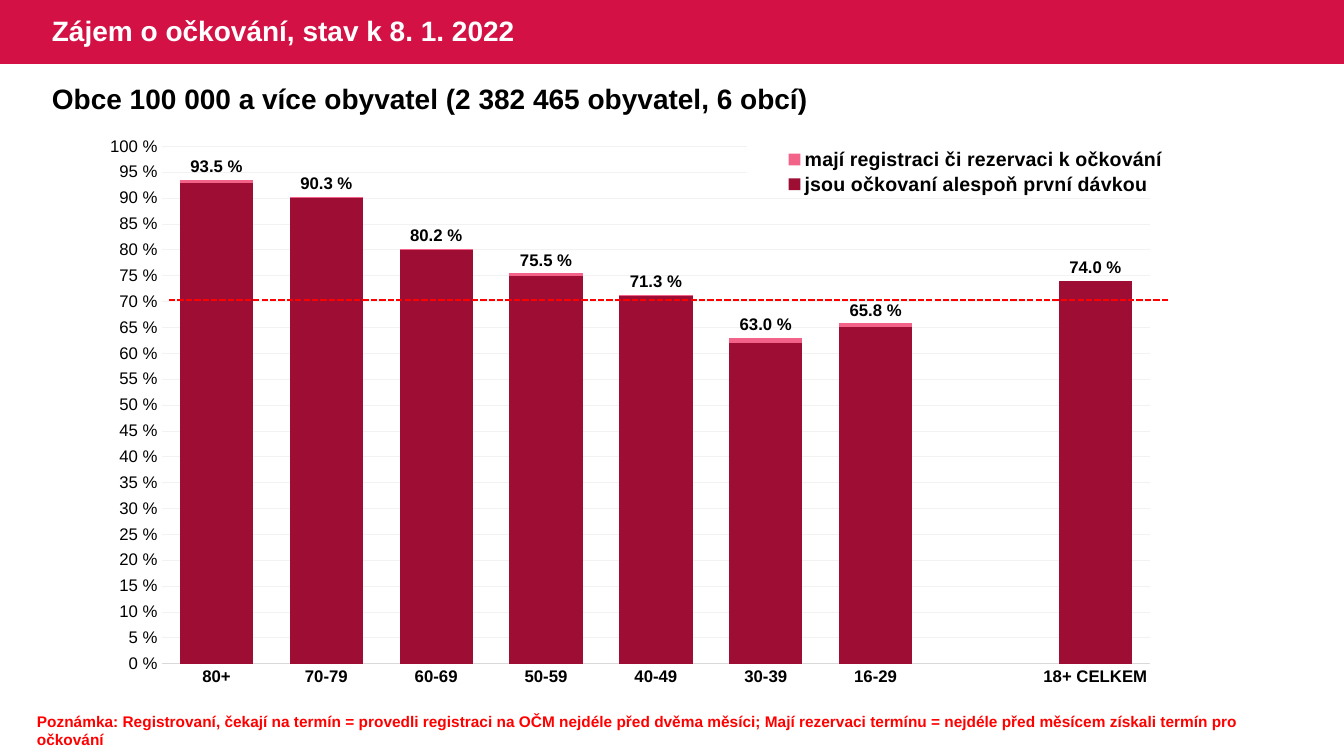
from lxml import etree
from pptx import Presentation
from pptx import util as u
from pptx.chart.data import CategoryChartData
from pptx.dml.color import RGBColor
from pptx.enum import chart as charts, dml, shapes, text
from pptx.oxml import parse_xml
from pptx.oxml.ns import nsdecls, qn

FONT = "Arial"
AGES = ["80+", "70-79", "60-69", "50-59", "40-49", "30-39", "16-29", "", "18+ CELKEM"]
SERIES = [
    ("mají registraci či rezervaci k očkování", "F26289",
     [93.5, 90.3, 80.2, 75.5, 71.3, 63, 65.8, None, 74]),
    ("jsou očkovaní alespoň první dávkou", "9E0D34",
     [93, 90, 80, 75, 71, 62, 65, None, 74]),
]


def px(length):
    """Turn pixels into EMU."""
    return u.Emu(round(length * 914400 / 100.8))


def color(value):
    """Turn a hex string into a colour."""
    return RGBColor.from_string(value)


def style(font, size, value="000000", bold=False):
    """Set typeface, size, colour and weight of a font."""
    font.name, font.size, font.bold = FONT, u.Pt(size), bold
    font.color.rgb = color(value)


def add_text(page, box, content, size, value="000000", bold=True,
             anchor=text.MSO_ANCHOR.TOP, spacing=1.0):
    """Add a wrapped text box with one paragraph."""
    frame = page.shapes.add_textbox(*map(px, box)).text_frame
    frame.word_wrap = True
    frame.vertical_anchor = anchor
    para = frame.paragraphs[0]
    para.line_spacing = spacing
    span = para.add_run()
    span.text = content
    style(span.font, size, value, bold)


def set_layout(parent, before, fractions, inner=False):
    """Place a chart part by fractions of the chart area."""
    for old in parent.findall(qn("c:layout")):
        parent.remove(old)
    target = '<c:layoutTarget val="inner"/>' if inner else ""
    modes = "".join(f'<c:{side}Mode val="edge"/>' for side in "xy")
    sizes = "".join(f'<c:{side} val="{part}"/>' for side, part in zip("xywh", fractions))
    layout = parse_xml(f'<c:layout {nsdecls("c")}><c:manualLayout>{target}{modes}{sizes}'
                       '</c:manualLayout></c:layout>')
    parent.insert(before, layout)


def add_header(page, box):
    """Draw the red band with the slide title."""
    left, top, width, height = box
    band = page.shapes.add_shape(shapes.MSO_SHAPE.RECTANGLE, *map(px, box))
    band.shadow.inherit = False
    band.fill.solid()
    band.fill.fore_color.rgb = color("D31145")
    band.line.fill.background()
    add_text(page, (left + 42, top, 595, height), "Zájem o očkování, stav k 8. 1. 2022",
             20, "FFFFFF", anchor=text.MSO_ANCHOR.MIDDLE, spacing=0.9)


def format_axes(chart):
    """Format the age axis and the percentage axis."""
    ages, percent = chart.category_axis, chart.value_axis
    for axis in (ages, percent):
        axis.major_tick_mark = axis.minor_tick_mark = charts.XL_TICK_MARK.NONE
        style(axis.tick_labels.font, 12, bold=axis is ages)
    ages.format.line.color.rgb = color("D9D9D9")
    ages.format.line.width = u.Pt(0.75)
    percent.minimum_scale, percent.maximum_scale, percent.major_unit = 0, 100, 5
    percent.tick_labels.number_format = '0" %"'
    percent.tick_labels.number_format_is_linked = False
    percent.format.line.fill.background()
    grid = percent.major_gridlines.format.line
    grid.color.rgb = color("F2F2F2")
    grid.width = u.Pt(0.5)


def format_legend(chart):
    """Put the legend on a white field over the upper right of the plot."""
    chart.has_legend = True
    legend = chart.legend
    legend.position = charts.XL_LEGEND_POSITION.TOP
    legend.include_in_layout = False
    style(legend.font, 14, bold=True)
    element = legend._element
    set_layout(element, 1, (0.571, 0.031, 0.41, 0.09))
    fill = parse_xml(f'<c:spPr {nsdecls("c", "a")}><a:solidFill><a:srgbClr val="FFFFFF"/>'
                     '</a:solidFill><a:ln><a:noFill/></a:ln></c:spPr>')
    element.find(qn("c:txPr")).addprevious(fill)


def add_interest_chart(page, box):
    """Draw the overlapping columns and the 70 % threshold."""
    left, top, width, height = box
    data = CategoryChartData(number_format="0.0")
    data.categories = AGES
    for name, _, values in SERIES:
        data.add_series(name, values)
    chart = page.shapes.add_chart(charts.XL_CHART_TYPE.COLUMN_CLUSTERED,
                                  *map(px, box), data).chart
    style(chart.font, 10)
    chart.has_title = False
    format_axes(chart)
    format_legend(chart)
    set_layout(chart._chartSpace.chart.plotArea, 0, (0.045, 0.032, 0.888, 0.895), inner=True)

    plot = chart.plots[0]
    plot.gap_width, plot.overlap, plot.vary_by_categories = 50, 100, False
    for series, (_, fill, _) in zip(plot.series, SERIES):
        series.invert_if_negative = False
        series.format.fill.solid()
        series.format.fill.fore_color.rgb = color(fill)
    labels = plot.series[0].data_labels
    labels.show_value = True
    labels.position = charts.XL_LABEL_POSITION.OUTSIDE_END
    labels.number_format = '0.0" %"'
    labels.number_format_is_linked = False
    style(labels.font, 12, bold=True)

    level = px(top + 172)
    threshold = page.shapes.add_connector(shapes.MSO_CONNECTOR.STRAIGHT, px(left + 59),
                                          level, px(left + 1059), level)
    threshold.line.color.rgb = color("FF0000")
    threshold.line.width = u.Pt(1.5)
    threshold.line.dash_style = dml.MSO_LINE.SQUARE_DOT
    etree.SubElement(threshold._element.spPr, qn("a:effectLst"))


def main():
    """Build and save the slide."""
    deck = Presentation()
    deck.slide_width, deck.slide_height = px(1344), px(756)
    page = deck.slides.add_slide(deck.slide_layouts[6])
    add_header(page, (0, 0, 1344, 64))
    add_text(page, (42, 77, 1249, 44),
             "Obce 100 000 a více obyvatel (2 382 465 obyvatel, 6 obcí)", 20)
    add_interest_chart(page, (110, 128, 1115, 578))
    add_text(page, (27, 707, 1291, 29),
             "Poznámka: Registrovaní, čekají na termín = provedli registraci na OČM nejdéle "
             "před dvěma měsíci; Mají rezervaci termínu = nejdéle před měsícem získali termín "
             "pro očkování", 11, "FF0000")
    deck.save("out.pptx")


if __name__ == "__main__":
    main()
